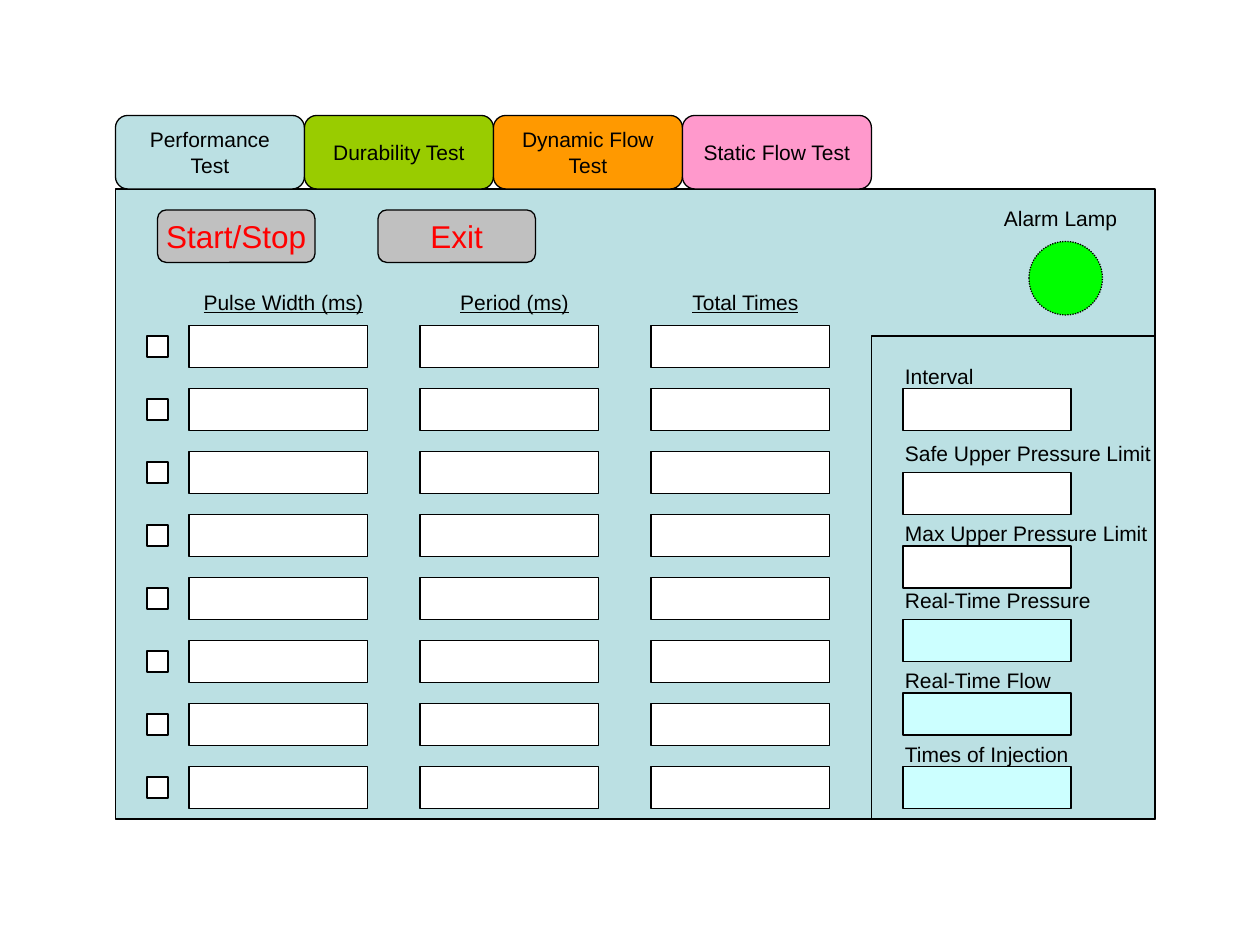
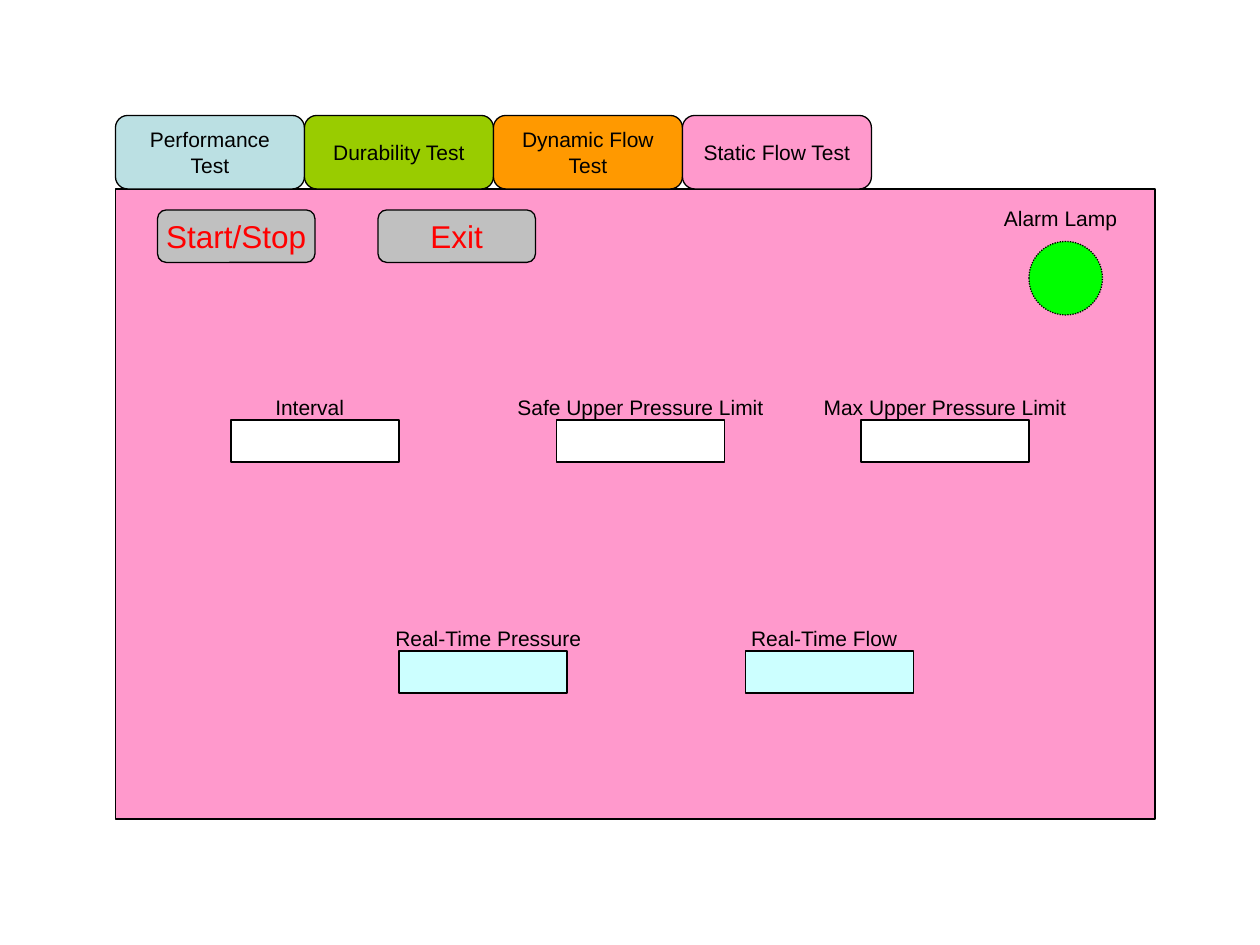
from dataclasses import dataclass

from pptx import Presentation
from pptx import util as u
from pptx.dml.color import RGBColor
from pptx.enum import dml, shapes, text
from pptx.shapes.autoshape import Shape
from pptx.shapes.shapetree import GroupShapes
from pptx.slide import Slide
from pptx.text.text import TextFrame

COLORS = {
    "black": "000000",
    "white": "FFFFFF",
    "red": "FF0000",
    "silver": "C0C0C0",
    "lamp": "00FF00",
    "readout": "CCFFFF",
    "performance": "BBE0E3",
    "durability": "99CC00",
    "dynamic": "FF9900",
    "static": "FF99CC",
}
FONT = "Arial"
GRID_CM = 2.54 / 12
LABEL_HEIGHT = 3.6
KIND = shapes.MSO_SHAPE
ALIGN = text.PP_ALIGN


@dataclass(frozen=True)
class Box:
    """A place on the slide, counted in grid steps."""
    left: float
    top: float
    width: float
    height: float

    def lengths(self) -> list[u.Length]:
        return [u.Cm(steps * GRID_CM)
                for steps in (self.left, self.top, self.width, self.height)]


@dataclass(frozen=True)
class Tab:
    caption: str
    color: str


@dataclass(frozen=True)
class Quantity:
    """A labelled value: white fields are entered, tinted ones are read."""
    caption: str
    label_width: float
    color: str = "white"


@dataclass(frozen=True)
class Placement:
    quantity: Quantity
    field_left: float
    field_top: float
    label_left: float
    label_top: float


TABS = (
    Tab("Performance Test", "performance"),
    Tab("Durability Test", "durability"),
    Tab("Dynamic Flow Test", "dynamic"),
    Tab("Static Flow Test", "static"),
)
INTERVAL = Quantity("Interval", 17)
SAFE_LIMIT = Quantity("Safe Upper Pressure Limit", 26)
MAX_LIMIT = Quantity("Max Upper Pressure Limit", 26)
PRESSURE = Quantity("Real-Time Pressure", 21, "readout")
FLOW = Quantity("Real-Time Flow", 17, "readout")
INJECTIONS = Quantity("Times of Injection", 20, "readout")

PULSE_COLUMNS = ("Pulse Width (ms)", "Period (ms)", "Total Times")
PULSE_ROWS = 8
SIDE_PLACEMENTS = [
    Placement(quantity, 86, field_top, 85, label_top)
    for quantity, field_top, label_top in (
        (INTERVAL, 37, 34),
        (SAFE_LIMIT, 45, 41.4),
        (MAX_LIMIT, 52, 49),
        (PRESSURE, 59, 55.4),
        (FLOW, 66, 63),
        (INJECTIONS, 73, 70),
    )
]
STATIC_PLACEMENTS = [
    Placement(quantity, field_left, field_top, label_left, field_top - 3)
    for quantity, field_left, field_top, label_left in (
        (INTERVAL, 22, 40, 21),
        (SAFE_LIMIT, 53, 40, 48),
        (MAX_LIMIT, 82, 40, 77),
        (PRESSURE, 38, 62, 36),
        (FLOW, 71, 62, 70),
    )
]


def rgb(color: str) -> RGBColor:
    return RGBColor.from_string(COLORS[color])


def write(frame: TextFrame, caption: str, size: int = 12, color: str = "black",
          align: ALIGN = ALIGN.CENTER, underline: bool = False) -> None:
    paragraph = frame.paragraphs[0]
    paragraph.alignment = align
    run = paragraph.add_run()
    run.text = caption
    run.font.name = FONT
    run.font.size = u.Pt(size)
    run.font.color.rgb = rgb(color)
    if underline:
        run.font.underline = True


def add_outlined(target: GroupShapes, box: Box, fill: str,
                 kind: KIND = KIND.RECTANGLE) -> Shape:
    outlined = target.add_shape(kind, *box.lengths())
    outlined.shadow.inherit = False
    outlined.fill.solid()
    outlined.fill.fore_color.rgb = rgb(fill)
    outlined.line.color.rgb = rgb("black")
    outlined.line.width = u.Pt(0.75)
    return outlined


def add_captioned(target: GroupShapes, box: Box, fill: str, kind: KIND, caption: str,
                  size: int = 12, color: str = "black", wrap: bool = True) -> None:
    frame = add_outlined(target, box, fill, kind).text_frame
    frame.word_wrap = wrap
    frame.vertical_anchor = text.MSO_ANCHOR.MIDDLE
    write(frame, caption, size, color)


def add_label(target: GroupShapes, left: float, top: float, width: float, caption: str,
              align: ALIGN = ALIGN.CENTER, underline: bool = False) -> None:
    box = Box(left, top, width, LABEL_HEIGHT)
    frame = target.add_textbox(*box.lengths()).text_frame
    frame.word_wrap = True
    frame.auto_size = text.MSO_AUTO_SIZE.SHAPE_TO_FIT_TEXT
    frame.paragraphs[0].space_before = u.Pt(7.5)
    write(frame, caption, align=align, underline=underline)


def add_quantity(target: GroupShapes, place: Placement, align: ALIGN) -> None:
    quantity = place.quantity
    add_outlined(target, Box(place.field_left, place.field_top, 16, 4), quantity.color)
    add_label(target, place.label_left, place.label_top, quantity.label_width,
              quantity.caption, align)


def add_test_screen(deck: Presentation, page_color: str) -> Slide:
    """Add a slide with the page, tabs, buttons and lamp every test has."""
    slide = deck.slides.add_slide(deck.slide_layouts[6])
    screen = slide.shapes
    add_outlined(screen, Box(11, 18, 99, 60), page_color, KIND.FLOWCHART_PROCESS)
    for index, tab in enumerate(TABS):
        add_captioned(screen, Box(11 + 18 * index, 11, 18, 7), tab.color,
                      KIND.FLOWCHART_ALTERNATE_PROCESS, tab.caption)
    lamp = add_outlined(screen, Box(98, 23, 7, 7), "lamp", KIND.FLOWCHART_CONNECTOR)
    lamp.line.dash_style = dml.MSO_LINE.ROUND_DOT
    add_label(screen, 93, 19, 16, "Alarm Lamp")
    for left, caption in ((15, "Start/Stop"), (36, "Exit")):
        add_captioned(screen, Box(left, 20, 15, 5), "silver", KIND.ROUNDED_RECTANGLE,
                      caption, 18, "red", wrap=False)
    return slide


def add_pulse_grid(slide: Slide) -> None:
    for column, heading in enumerate(PULSE_COLUMNS):
        add_label(slide.shapes, 17 + 22 * column, 27, 20, heading, underline=True)
    for row in range(PULSE_ROWS):
        top = 31 + 6 * row
        add_outlined(slide.shapes, Box(14, top + 1, 2, 2), "white",
                     KIND.FLOWCHART_PROCESS)
        pulse = slide.shapes.add_group_shape().shapes
        for column in range(len(PULSE_COLUMNS)):
            add_outlined(pulse, Box(18 + 22 * column, top, 17, 4), "white")


def add_performance_test(deck: Presentation) -> None:
    slide = add_test_screen(deck, "performance")
    add_pulse_grid(slide)
    add_outlined(slide.shapes, Box(83, 32, 27, 46), "performance")
    for place in SIDE_PLACEMENTS:
        add_quantity(slide.shapes, place, ALIGN.LEFT)


def add_static_flow_test(deck: Presentation) -> None:
    slide = add_test_screen(deck, "static")
    for place in STATIC_PLACEMENTS:
        add_quantity(slide.shapes.add_group_shape().shapes, place, ALIGN.CENTER)


def main() -> None:
    deck = Presentation()
    deck.slide_width, deck.slide_height = u.Cm(25.4), u.Cm(19.05)
    add_performance_test(deck)
    add_static_flow_test(deck)
    deck.save("out.pptx")


if __name__ == "__main__":
    main()
